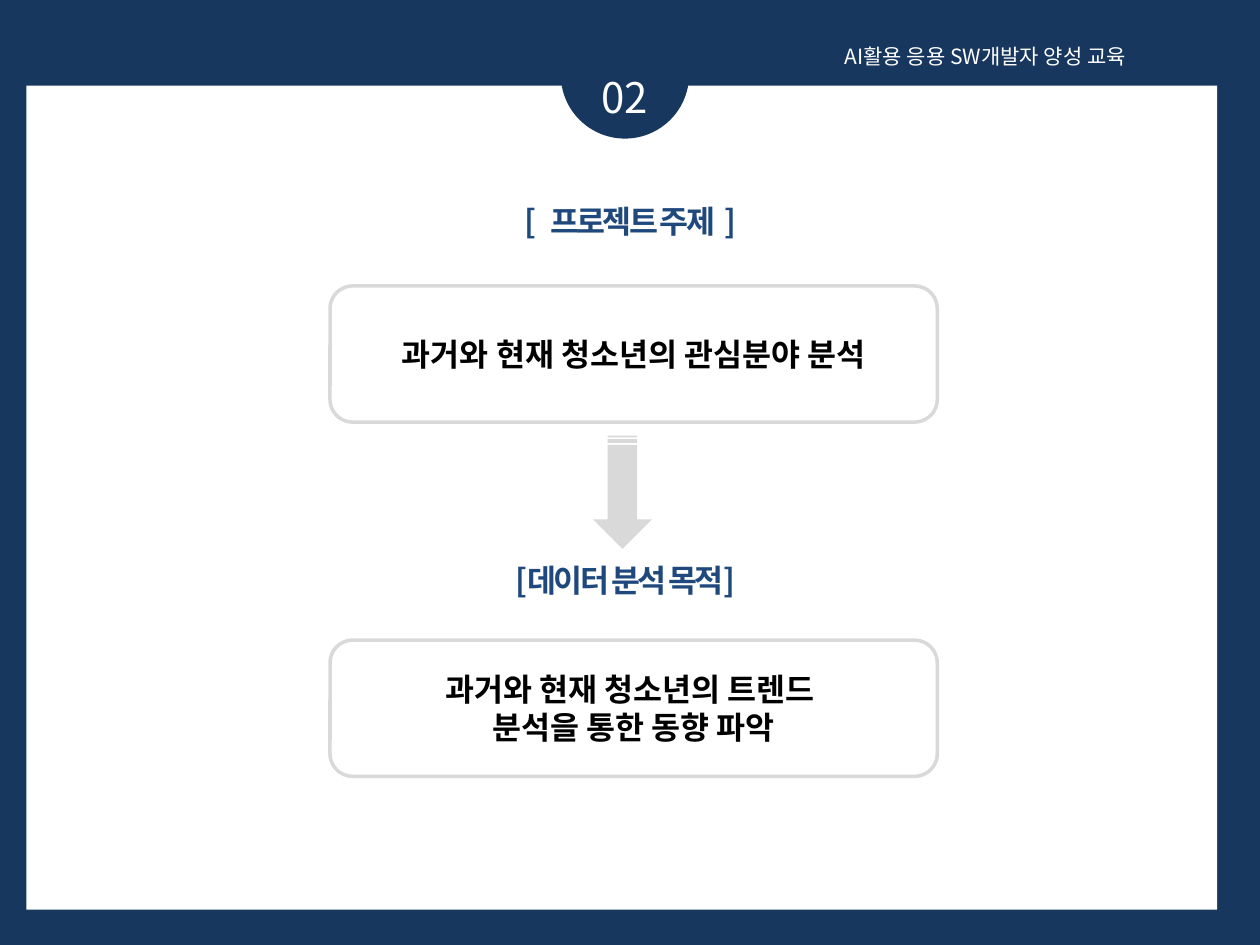
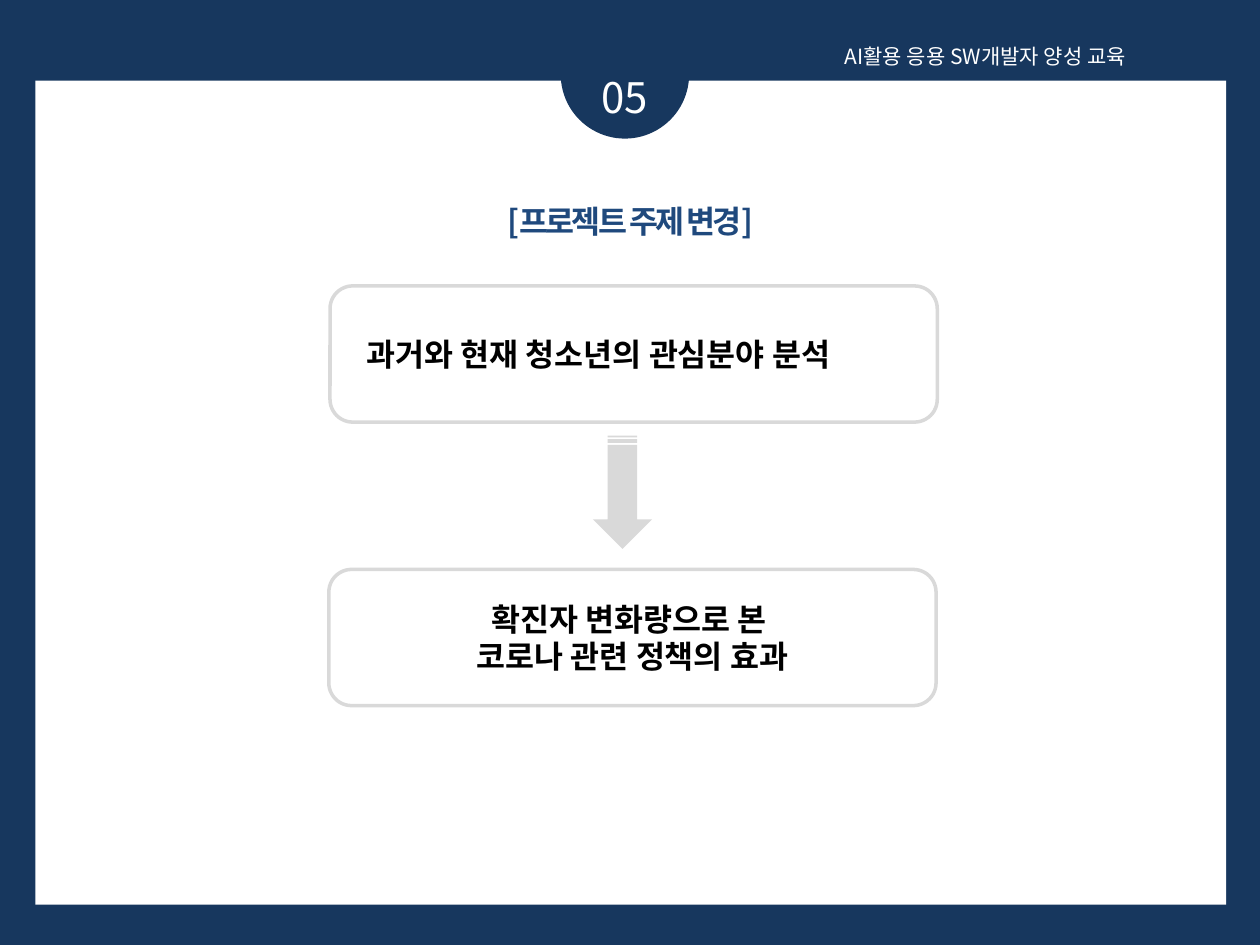
from lxml.etree import SubElement
from pptx import Presentation
from pptx.dml.color import RGBColor
from pptx.enum.shapes import MSO_SHAPE
from pptx.enum.text import MSO_ANCHOR, MSO_AUTO_SIZE, PP_ALIGN
from pptx.oxml.ns import qn
from pptx.util import Pt

NAVY = RGBColor(0x17, 0x37, 0x5E)
BLUE = RGBColor(0x1F, 0x49, 0x7D)
GRAY = RGBColor(0xD9, 0xD9, 0xD9)
WHITE = RGBColor(0xFF, 0xFF, 0xFF)
BLACK = RGBColor(0, 0, 0)
FONT = "Noto Sans CJK KR"

COURSE = "AI활용 응용 SW개발자 양성 교육 "
TIGHT = -1.5
SLIDES = [
    {
        "number": "02",
        "panel": (15.1, 49),
        "title": [("[", TIGHT), (" ", 3.5), ("프로젝트 주제", TIGHT), (" ", 1), ("]", TIGHT)],
        "topic_inset": None,
        "subheading": [("[데이터 분석 목적]", TIGHT)],
        "result": ["과거와 현재 청소년의 트렌드 ", "분석을 통한 동향 파악"],
        "result_at": (188.6, 365.8),
    },
    {
        "number": "05",
        "panel": (20.2, 46.1),
        "title": [("[프로젝트 주제 변경]", TIGHT)],
        "topic_inset": 17.2,
        "subheading": None,
        "result": ["확진자 변화량으로 본 ", "코로나 관련 정책의 효과"],
        "result_at": (187.9, 325.4),
    },
]
TOPIC = ["과거와 현재 청소년의 관심분야 분석"]

PANEL_SIZE = (680.4, 470.9)
BOX_SIZE = (347, 77.8)
HEADING_SIZE = (329, 29)
TOPIC_AT = (188.6, 163.4)
TITLE_AT = (195.8, 111.6)
SUBHEADING_AT = (193, 316.8)

NUMBER = {"size": Pt(24), "bold": False, "color": WHITE}
HEADER = {"size": Pt(12), "bold": False, "color": WHITE}
HEADING = {"size": Pt(18), "bold": True, "color": BLUE}
STATEMENT = {"size": Pt(18), "bold": True, "color": BLACK}


def points(*values):
    return [Pt(v) for v in values]


def write(tf, paragraphs, style, anchor=MSO_ANCHOR.TOP, align=PP_ALIGN.CENTER):
    frame = {"word_wrap": True, "auto_size": MSO_AUTO_SIZE.NONE, "vertical_anchor": anchor}
    for key, value in frame.items():
        setattr(tf, key, value)
    for i, runs in enumerate(paragraphs):
        p = tf.add_paragraph() if i else tf.paragraphs[0]
        p.alignment = align
        for text, spacing in runs:
            r = p.add_run()
            r.text = text
            for key, value in style.items():
                if key == "color":
                    r.font.color.rgb = value
                else:
                    setattr(r.font, key, value)
            r.font.name = FONT
            rPr = r.font._element
            SubElement(rPr, qn("a:ea")).set("typeface", FONT)
            if spacing:
                rPr.set("spc", str(int(spacing * 100)))


def plain(lines):
    return [[(line, 0)] for line in lines]


def add_text(s, at, size, paragraphs, style):
    write(s.shapes.add_textbox(*points(*at, *size)).text_frame, paragraphs, style)


def add_shape(s, kind, at, size, fill=None, line=None):
    sp = s.shapes.add_shape(kind, *points(*at, *size))
    sp.shadow.inherit = False
    if fill is None:
        sp.fill.background()
    else:
        sp.fill.solid()
        sp.fill.fore_color.rgb = fill
    if line is None:
        sp.line.fill.background()
    else:
        sp.line.color.rgb = line
        sp.line.width = Pt(2)
    return sp


def add_statement(s, at, lines, left_inset=None):
    sp = add_shape(s, MSO_SHAPE.ROUNDED_RECTANGLE, at, BOX_SIZE, line=GRAY)
    align = PP_ALIGN.CENTER
    if left_inset is not None:
        sp.text_frame.margin_left = Pt(left_inset)
        align = PP_ALIGN.LEFT
    write(sp.text_frame, plain(lines), STATEMENT, MSO_ANCHOR.MIDDLE, align)


def add_title(s, runs):
    title = s.shapes.title
    title.left, title.top, title.width, title.height = points(*TITLE_AT, *HEADING_SIZE)
    write(title.text_frame, [runs], HEADING)
    title._element.getparent().append(title._element)


def add_frame(s, panel_at, number):
    add_shape(s, MSO_SHAPE.RECTANGLE, panel_at, PANEL_SIZE, WHITE)
    add_shape(s, MSO_SHAPE.OVAL, (320.4, 5.8), (73.4, 73.4), NAVY)
    add_text(s, (314.6, 37.4), (85, 36), plain([number]), NUMBER)
    add_text(s, (422.6, 21.6), (283.7, 21.6), plain([COURSE]), HEADER)


def build_slide(prs, content):
    s = prs.slides.add_slide(prs.slide_layouts[5])
    add_frame(s, content["panel"], content["number"])
    add_title(s, content["title"])
    add_statement(s, TOPIC_AT, TOPIC, content["topic_inset"])
    arrow = add_shape(s, MSO_SHAPE.STRIPED_RIGHT_ARROW, (323.3, 264.4), (64.8, 33.8), GRAY)
    arrow.rotation = 90
    add_statement(s, content["result_at"], content["result"])
    if content["subheading"]:
        add_text(s, SUBHEADING_AT, HEADING_SIZE, [content["subheading"]], HEADING)


def main():
    prs = Presentation()
    prs.slide_width, prs.slide_height = points(720, 540)
    background = prs.slide_master.background.fill
    background.solid()
    background.fore_color.rgb = NAVY
    for content in SLIDES:
        build_slide(prs, content)
    prs.save("out.pptx")


if __name__ == "__main__":
    main()
